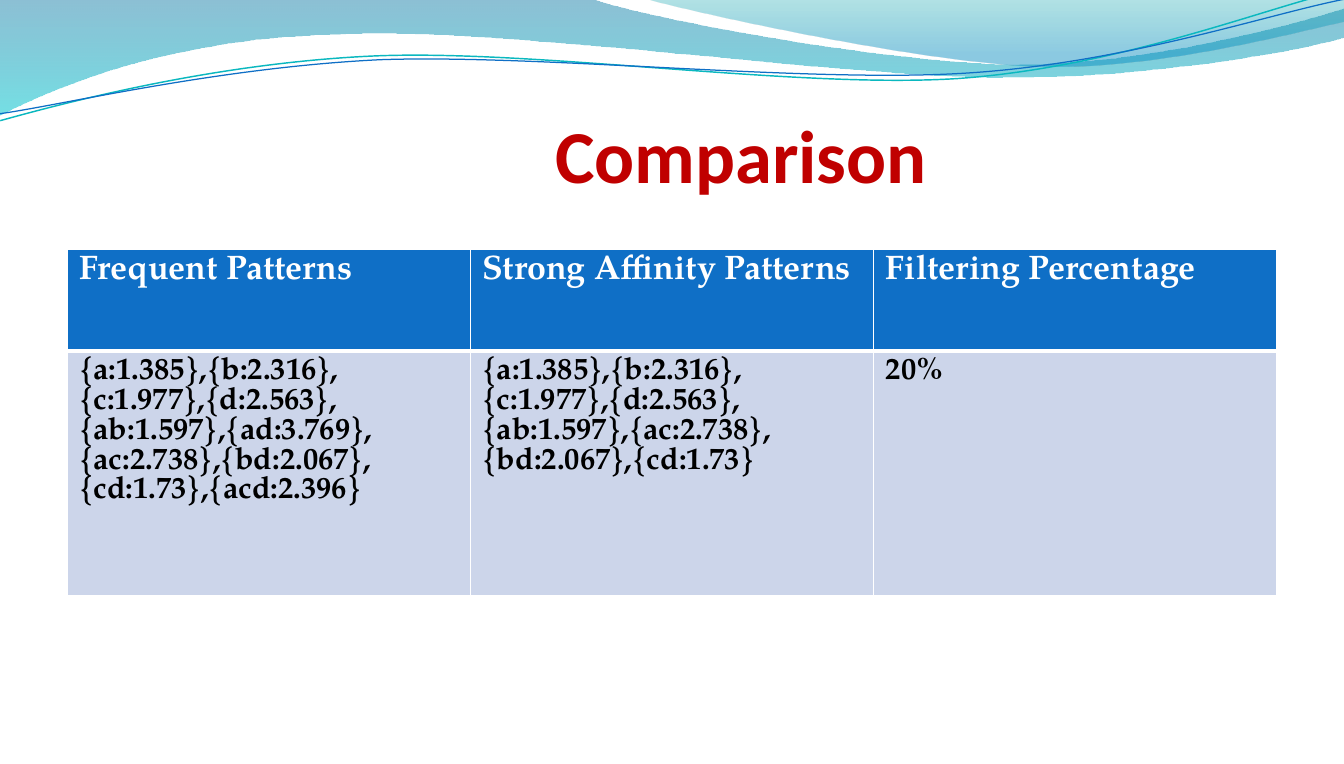
from pptx import Presentation
from pptx.dml.color import RGBColor
from pptx.enum.text import MSO_ANCHOR, PP_ALIGN
from pptx.oxml.ns import qn
from pptx.util import Inches, Pt
from lxml.etree import SubElement

EMU_PER_PIXEL = Inches(11) / 1344
BLUE = RGBColor(0x0F, 0x6F, 0xC6)
TEAL = RGBColor(0x0A, 0xB8, 0xBF)
DEEP_BLUE = RGBColor(0x00, 0x74, 0xA1)
AQUA = RGBColor(0x00, 0xC6, 0xCF)
SEA_GREEN = RGBColor(0x00, 0xA1, 0xA9)
SKY_BLUE = RGBColor(0x00, 0x8B, 0xBF)
RED = RGBColor(0xC0, 0x00, 0x00)
PALE_BLUE = RGBColor(0xCC, 0xD5, 0xEA)
WHITE = RGBColor(0xFF, 0xFF, 0xFF)
BLACK = RGBColor(0x00, 0x00, 0x00)
STRAND_TILT = 357.3

# Each outline is a start point, then steps of one point (line) or three (curve).
# Gradient stops are position, colour and opacity in percent.
WAVES = [
    ([(0, 0), [(591, -1)],
      [(639, 17), (892, 64), (1019, 64)], [(1146, 64), (1288, 26), (1344, 9)],
      [(1345, 37)], [(1322, 45), (1170, 77), (1002, 77)],
      [(836, 77), (513, 28), (346, 34)], [(174, 37), (61, 84), (-1, 115)]],
     [(0, DEEP_BLUE, 45), (1, AQUA, 55)]),
    ([(644, -1), [(684, 11), (917, 62), (1034, 66)],
      [(1150, 71), (1293, 33), (1344, 22)], [(1344, 0)]],
     [(0, SEA_GREEN, 30), (0.8, SKY_BLUE, 45)]),
]
STRANDS = [
    ([(-2, 89), [(64, 74), (213, 42), (371, 42)],
      [(533, 42), (794, 95), (957, 92)], [(1118, 88), (1264, 37), (1344, 22)]],
     TEAL, 0.85),
    ([(-2, 82), [(62, 76), (220, 46), (381, 46)],
      [(541, 48), (802, 89), (962, 87)], [(1123, 85), (1266, 43), (1346, 31)]],
     BLUE, 0.75),
]
HEADINGS = ["Frequent Patterns", "Strong Affinity Patterns", "Filtering Percentage"]
PATTERNS = [
    ["{a:1.385},{b:2.316},", "{c:1.977},{d:2.563},", "{ab:1.597},{ad:3.769},",
     "{ac:2.738},{bd:2.067},", "{cd:1.73},{acd:2.396}"],
    ["{a:1.385},{b:2.316},", "{c:1.977},{d:2.563},", "{ab:1.597},{ac:2.738},",
     "{bd:2.067},{cd:1.73}"],
    ["20%"],
]


def px(pixels):
    return round(pixels * EMU_PER_PIXEL)


def add_outline(page, outline, left, top, close):
    """Build a freeform through the step ends, then bend its curved steps."""
    start, *steps = outline
    ends = [(px(left + x), px(top + y)) for x, y in [start] + [step[-1] for step in steps]]
    builder = page.shapes.build_freeform(*ends[0], scale=1.0)
    builder.add_line_segments(ends[1:], close=close)
    shape = builder.convert_to_shape()
    shape.shadow.inherit = False
    segments = list(shape.element.spPr.iter(qn("a:lnTo")))
    for segment, step in zip(segments, steps):
        if len(step) == 3:
            curve = SubElement(segment.getparent(), qn("a:cubicBezTo"))
            for x, y in step:
                SubElement(curve, qn("a:pt"), x=str(px(left + x) - shape.left),
                           y=str(px(top + y) - shape.top))
            segment.getparent().replace(segment, curve)
    return shape


def add_wave_band(page, left, top):
    # Shaded waves
    for outline, stops in WAVES:
        wave = add_outline(page, outline, left, top, True)
        wave.line.fill.background()
        wave.fill.gradient()
        wave.fill.gradient_angle = 270
        for stop, (position, color, _) in zip(wave.fill.gradient_stops, stops):
            stop.position = position
            stop.color.rgb = color
        colors = wave.element.spPr.iter(qn("a:srgbClr"))
        for color, (_, _, opacity) in zip(colors, stops):
            SubElement(color, qn("a:alpha"), val=str(opacity * 1000))

    # Thin strands
    for outline, color, width in STRANDS:
        strand = add_outline(page, outline, left, top, False)
        strand.rotation = STRAND_TILT
        strand.fill.background()
        strand.line.color.rgb = color
        strand.line.width = Pt(width)


def fill_title(page, left, top, width, height):
    title = page.shapes.title
    title.left, title.top, title.width, title.height = map(px, (left, top, width, height))
    frame = title.text_frame
    frame.text = "Comparison"
    frame.vertical_anchor = MSO_ANCHOR.BOTTOM
    frame.margin_left, frame.margin_right, frame.margin_bottom = px(488), 0, 0
    para = frame.paragraphs[0]
    para.alignment = PP_ALIGN.LEFT
    para.font.name, para.font.size, para.font.bold = "Calibri", Pt(44), True
    para.font.color.rgb = RED


def set_borders(cell, widths):
    properties = cell._tc.get_or_add_tcPr()
    for side, width in widths.items():
        line = SubElement(properties, qn(f"a:ln{side}"), w=str(Pt(width)))
        fill = SubElement(line, qn("a:solidFill"))
        SubElement(fill, qn("a:srgbClr"), val=str(WHITE))


def fill_cell(cell, lines, size, color, background, bottom_border):
    set_borders(cell, {"L": 1, "R": 1, "T": 1, "B": bottom_border})
    cell.fill.solid()
    cell.fill.fore_color.rgb = background
    cell.text = "\n".join(lines)
    for para in cell.text_frame.paragraphs:
        para.font.name, para.font.size, para.font.bold = "TeX Gyre Pagella", Pt(size), True
        para.font.color.rgb = color


def add_pattern_table(page, left, top, width, row_heights):
    frame = page.shapes.add_table(2, len(HEADINGS), px(left), px(top),
                                  px(width), px(sum(row_heights)))
    table = frame.table
    for row, height in zip(table.rows, row_heights):
        row.height = px(height)
    for column, (heading, patterns) in enumerate(zip(HEADINGS, PATTERNS)):
        fill_cell(table.cell(0, column), [heading], 20, WHITE, BLUE, 3)
        fill_cell(table.cell(1, column), patterns, 18, BLACK, PALE_BLUE, 1)


deck = Presentation()
deck.slide_width, deck.slide_height = Inches(11), Inches(6.25)
page = deck.slides.add_slide(deck.slide_layouts[5])
add_wave_band(page, 0, 0)
fill_title(page, 67, 78, 1210, 120)
add_pattern_table(page, 67, 249, 1210, (102, 244))
deck.save("out.pptx")
